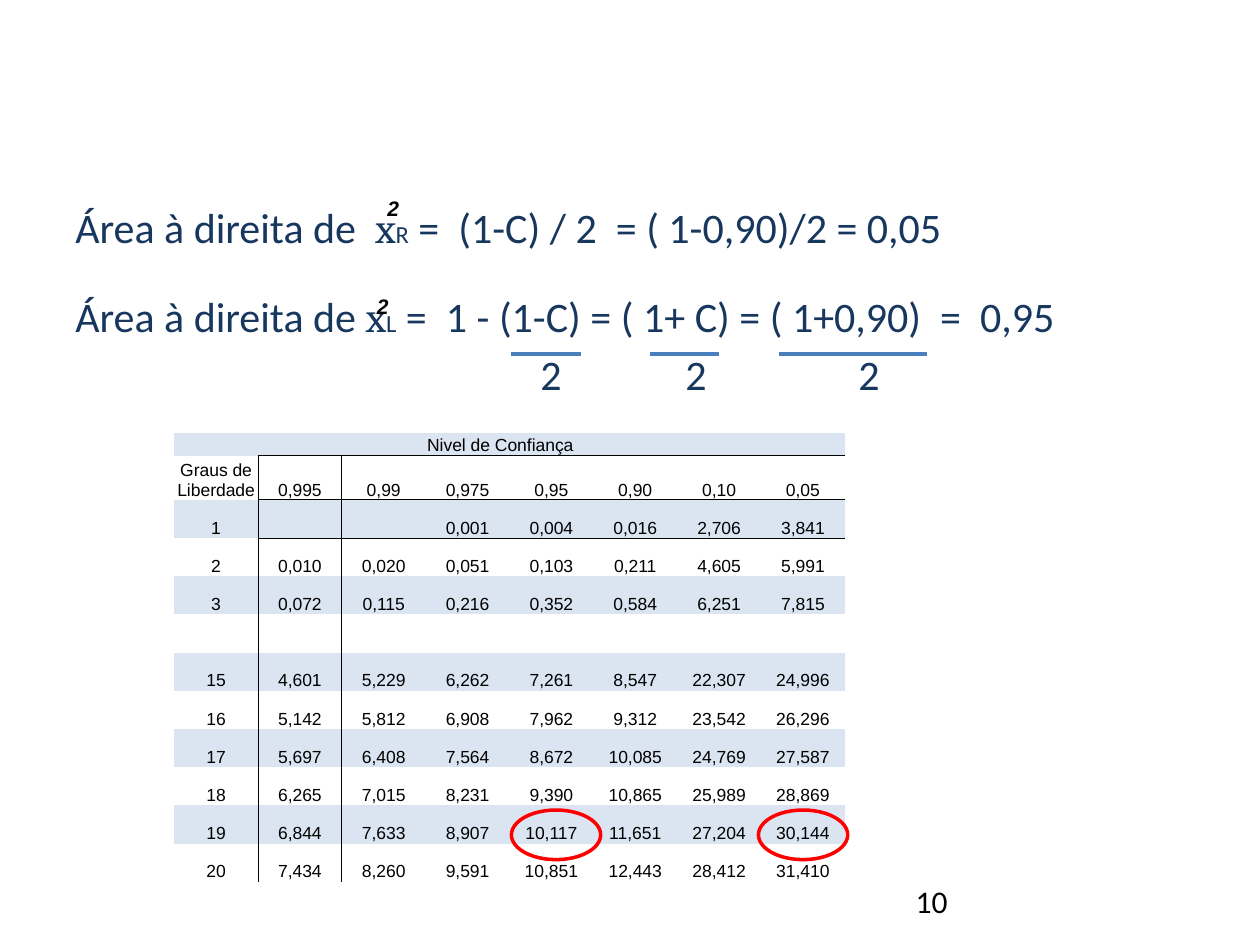
from dataclasses import dataclass

from lxml.etree import SubElement
from pptx import Presentation
from pptx.dml.color import RGBColor
from pptx.enum.shapes import MSO_CONNECTOR, MSO_SHAPE
from pptx.enum.text import MSO_ANCHOR, PP_ALIGN
from pptx.oxml.ns import qn
from pptx.util import Cm, Pt

COLORS = {"navy": "17375E", "black": "000000", "rule": "4B7EBC", "band": "DBE5F1", "mark": "FF0000"}
NO_STYLE = "{2D5ABB26-0587-4C30-8999-92F81FD0307C}"


@dataclass
class Piece:
    text: str
    size: int = 24
    font: str = "Calibri"
    color: str = "navy"
    strong: bool = False


@dataclass
class Label:
    left: float
    top: float
    width: float
    height: float
    pieces: list[Piece]
    align: PP_ALIGN = PP_ALIGN.LEFT
    inset: tuple[float, float] = (0.25, 0.13)


def rgb(name: str) -> RGBColor:
    return RGBColor.from_string(COLORS[name])


def add_piece(paragraph, piece: Piece) -> None:
    run = paragraph.add_run()
    run.text = piece.text
    run.font.size = Pt(piece.size)
    run.font.name = piece.font
    run.font.color.rgb = rgb(piece.color)
    run.font.bold = run.font.italic = piece.strong


def add_label(slide, label: Label):
    frame = slide.shapes.add_textbox(
        Cm(label.left), Cm(label.top), Cm(label.width), Cm(label.height)
    ).text_frame
    frame.word_wrap = True
    frame.margin_left = frame.margin_right = Cm(label.inset[0])
    frame.margin_top = frame.margin_bottom = Cm(label.inset[1])
    paragraph = frame.paragraphs[0]
    paragraph.alignment = label.align
    for piece in label.pieces:
        add_piece(paragraph, piece)
    return frame


def add_denominators(frame, centers: list[float]) -> None:
    paragraph = frame.add_paragraph()
    paragraph.space_before = Pt(4.8)
    paragraph.alignment = PP_ALIGN.LEFT
    add_piece(paragraph, Piece("\t2" * len(centers)))
    stops = SubElement(paragraph._p.get_or_add_pPr(), qn("a:tabLst"))
    for center in centers:
        SubElement(stops, qn("a:tab"), pos=str(Cm(center)), algn="ctr")


def add_fraction_bar(slide, left: float, right: float) -> None:
    bar = slide.shapes.add_connector(MSO_CONNECTOR.STRAIGHT, Cm(left), Cm(7.14), Cm(right), Cm(7.14))
    bar.line.color.rgb = rgb("rule")
    bar.line.width = Pt(2)
    SubElement(bar._element.spPr, qn("a:effectLst"))


def add_circle(slide, left: float) -> None:
    circle = slide.shapes.add_shape(MSO_SHAPE.OVAL, Cm(left), Cm(16.33), Cm(1.8), Cm(1))
    circle.shadow.inherit = False
    circle.fill.background()
    circle.line.color.rgb = rgb("mark")
    circle.line.width = Pt(2)


def add_border(cell, side: str) -> None:
    edge = SubElement(cell._tc.get_or_add_tcPr(), qn(f"a:{side}"), w=str(Pt(0.5)))
    SubElement(SubElement(edge, qn("a:solidFill")), qn("a:srgbClr"), val=COLORS["black"])


def fill_cell(cell, text: str, row: int, column: int, last: int) -> None:
    cell.margin_left = cell.margin_right = cell.margin_top = Cm(0.03)
    cell.margin_bottom = 0
    cell.vertical_anchor = MSO_ANCHOR.BOTTOM
    paragraph = cell.text_frame.paragraphs[0]
    paragraph.alignment = PP_ALIGN.CENTER if row else PP_ALIGN.LEFT
    if text:
        add_piece(paragraph, Piece(text, 10, "Arial", "black"))
    else:
        SubElement(paragraph._p, qn("a:endParaRPr"), sz="1000")
    body = 0 < row < last
    sides = {
        "lnL": column == 1 and body,
        "lnR": column == 0 and body,
        "lnT": column > 0 and row in (1, 2),
        "lnB": column > 0 and row in (0, 1),
    }
    for side, drawn in sides.items():
        if drawn:
            add_border(cell, side)
    if row % 2 == 0 and row < last:
        cell.fill.solid()
        cell.fill.fore_color.rgb = rgb("band")
    else:
        cell.fill.background()


def add_chi_square_table(slide, rows: list[list[str]]) -> None:
    heights = [0.45, 0.89] + [0.77] * (len(rows) - 3) + [0.45]
    column_width = 1.69
    columns = len(rows[0])
    table = slide.shapes.add_table(
        len(rows), columns, Cm(3.51), Cm(8.73), Cm(column_width * columns), Cm(sum(heights))
    ).table
    table.first_row = table.horz_banding = False
    for style in table._tbl.iter(qn("a:tableStyleId")):
        style.text = NO_STYLE
    for column in table.columns:
        column.width = Cm(column_width)
    for row, (height, values) in enumerate(zip(heights, rows)):
        table.rows[row].height = Cm(height)
        for column, value in enumerate(values):
            fill_cell(table.cell(row, column), value, row, column, len(rows) - 1)
    table.cell(0, 3).merge(table.cell(0, 4))


def formula(lead: str, subscript: str, result: str) -> list[Piece]:
    return [Piece(lead), Piece("x", font="Cambria"), Piece(subscript, 14), Piece(result)]


BLANK = [""] * 8
CRITICAL_VALUES = [
    ["", "", "", "Nivel de Confiança", "", "", "", ""],
    ["Graus de Liberdade", "0,995", "0,99", "0,975", "0,95", "0,90", "0,10", "0,05"],
    ["1", "", "", "0,001", "0,004", "0,016", "2,706", "3,841"],
    ["2", "0,010", "0,020", "0,051", "0,103", "0,211", "4,605", "5,991"],
    ["3", "0,072", "0,115", "0,216", "0,352", "0,584", "6,251", "7,815"],
    BLANK,
    ["15", "4,601", "5,229", "6,262", "7,261", "8,547", "22,307", "24,996"],
    ["16", "5,142", "5,812", "6,908", "7,962", "9,312", "23,542", "26,296"],
    ["17", "5,697", "6,408", "7,564", "8,672", "10,085", "24,769", "27,587"],
    ["18", "6,265", "7,015", "8,231", "9,390", "10,865", "25,989", "28,869"],
    ["19", "6,844", "7,633", "8,907", "10,117", "11,651", "27,204", "30,144"],
    ["20", "7,434", "8,260", "9,591", "10,851", "12,443", "28,412", "31,410"],
    BLANK,
]

presentation = Presentation()
presentation.slide_width = Cm(25.4)
presentation.slide_height = Cm(19.05)
slide = presentation.slides.add_slide(presentation.slide_layouts[6])

right_area = formula("Área à direita de  ", "R", " =  (1-C) / 2  = ( 1-0,90)/2 = 0,05")
left_area = formula("Área à direita de ", "L", " =  1 - (1-C) = ( 1+ C) = ( 1+0,90)  =  0,95")
add_label(slide, Label(1.27, 3.94, 22.86, 2.84, right_area, PP_ALIGN.JUSTIFY))
add_label(slide, Label(18.21, 17.65, 5.92, 1.02, [Piece("10", 18, color="black")]))
left_frame = add_label(slide, Label(1.27, 5.72, 23.6, 2.84, left_area, PP_ALIGN.JUSTIFY))
add_denominators(left_frame, [9.59, 12.51, 16])

for bar_left, bar_right in [(10.31, 11.71), (13.11, 14.5), (15.7, 18.69)]:
    add_fraction_bar(slide, bar_left, bar_right)

add_chi_square_table(slide, CRITICAL_VALUES)

for circle_left in (15.29, 10.31):
    add_circle(slide, circle_left)

for exponent_left, exponent_top in [(7.7, 3.94), (7.49, 5.92)]:
    exponent = Piece("2", 12, "Arial", "black", True)
    add_label(slide, Label(exponent_left, exponent_top, 2.59, 1.02, [exponent], inset=(0.11, 0)))

presentation.save("out.pptx")
